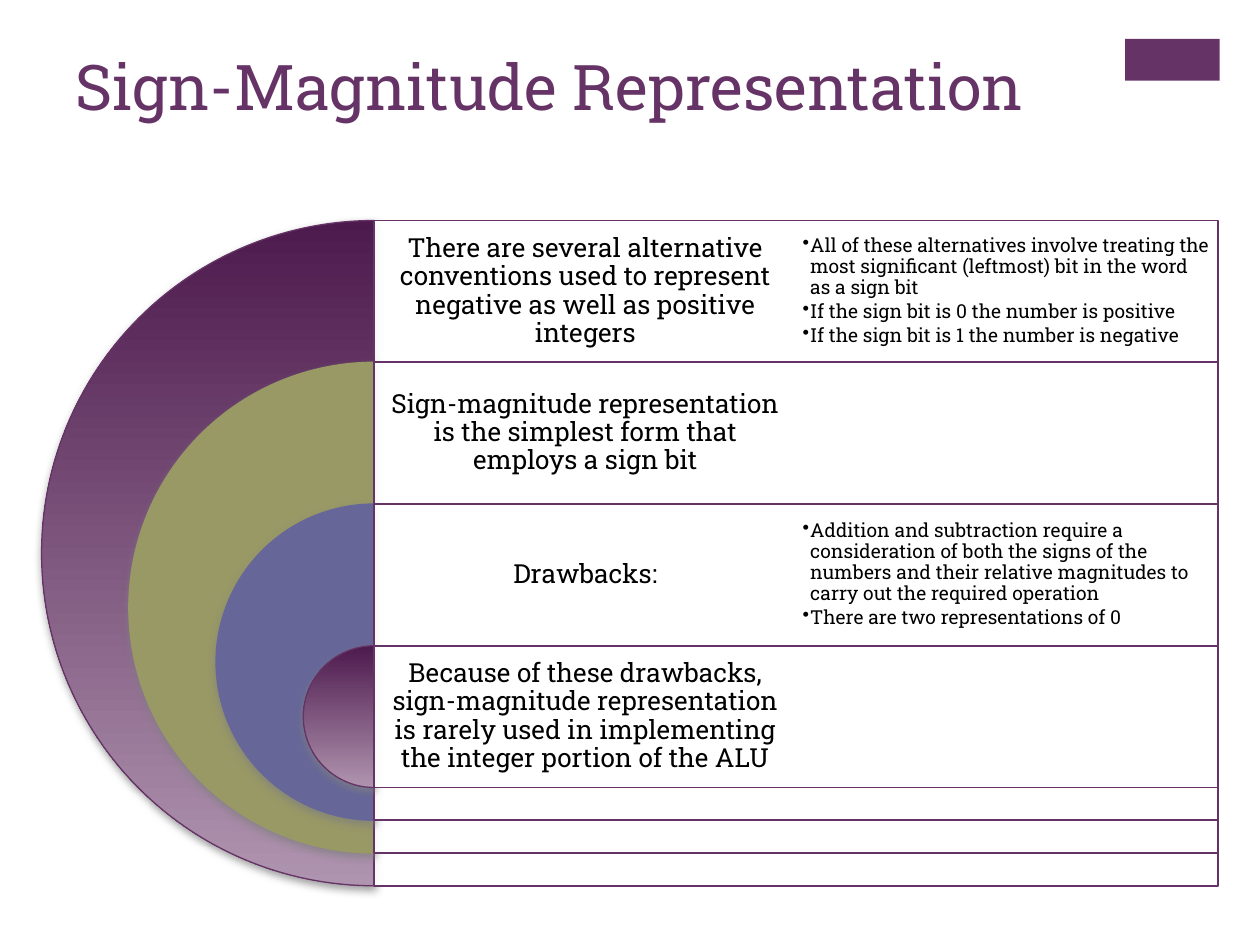
import pptx
import pptx.util
import pptx.dml.color
import pptx.enum.shapes
import pptx.enum.text
import pptx.oxml.ns
import lxml.etree

Inches, Pt = pptx.util.Inches, pptx.util.Pt
SHAPE = pptx.enum.shapes.MSO_SHAPE
ALIGN = pptx.enum.text.PP_ALIGN
ANCHOR = pptx.enum.text.MSO_ANCHOR
qn = pptx.oxml.ns.qn

FONT = "Roboto Slab"
COLORS = {
    name: pptx.dml.color.RGBColor.from_string(value)
    for name, value in {
        "plum": "663366", "dark plum": "4D1A4D", "light plum": "AF94AF",
        "olive": "999966", "slate": "666699", "white": "FFFFFF", "black": "000000",
    }.items()
}

# Fill of the half disc, heading, bullets
ROWS = [
    ("gradient",
     "There are several alternative conventions used to represent negative as well as positive integers",
     ["All of these alternatives involve treating the most significant (leftmost) bit in the word as a sign bit",
      "If the sign bit is 0 the number is positive",
      "If the sign bit is 1 the number is negative"]),
    ("olive", "Sign-magnitude representation is the simplest form that employs a sign bit", []),
    ("slate", "Drawbacks:",
     ["Addition and subtraction require a consideration of both the signs of the numbers and their "
      "relative magnitudes to carry out the required operation",
      "There are two representations of 0"]),
    ("gradient",
     "Because of these drawbacks, sign-magnitude representation is rarely used in implementing "
     "the integer portion of the ALU", []),
]

# The smallest disc is one row high; the others grow evenly up to the outer one.
TOP, OUTER = 1.75, 5.28
ROW_HEIGHT = 9 / 8
SHRINK = (OUTER - ROW_HEIGHT) / (len(ROWS) - 1)
AXIS, COLUMN = 2.97, 3.35


def add_shape(kind, left, top, width, height, color):
    shape = slide.shapes.add_shape(kind, Inches(left), Inches(top), Inches(width), Inches(height))
    shape.shadow.inherit = False
    if color == "gradient":
        shape.fill.gradient()
        shape.fill.gradient_angle = 270
        for stop, position, name in zip(shape.fill.gradient_stops, (0, 1), ("dark plum", "light plum")):
            stop.position = position
            stop.color.rgb = COLORS[name]
    else:
        shape.fill.solid()
        shape.fill.fore_color.rgb = COLORS[color]
    return shape


def add_text(left, top, texts, size, inset, gap, bulleted):
    box = slide.shapes.add_textbox(Inches(left), Inches(top), Inches(COLUMN), Inches(ROW_HEIGHT))
    frame = box.text_frame
    frame.word_wrap = True
    frame.vertical_anchor = ANCHOR.MIDDLE
    frame.margin_left = frame.margin_right = frame.margin_top = frame.margin_bottom = Inches(inset)
    for index, text in enumerate(texts):
        para = frame.add_paragraph() if index else frame.paragraphs[0]
        para.alignment = ALIGN.LEFT if bulleted else ALIGN.CENTER
        para.line_spacing = 0.9
        para.space_after = Pt(gap)
        if bulleted:
            para.level = 1
            properties = para._p.get_or_add_pPr()
            properties.set("marL", str(Inches(0.06)))
            properties.set("indent", str(-Inches(0.06)))
            lxml.etree.SubElement(properties, qn("a:buChar"), char="•")
        span = para.add_run()
        span.text = text
        span.font.name = FONT
        span.font.size = Pt(size)
        span.font.color.rgb = COLORS["black"]


deck = pptx.Presentation()
deck.slide_width, deck.slide_height = Inches(10), Inches(7.5)
slide = deck.slides.add_slide(deck.slide_layouts[5])

corner = add_shape(SHAPE.RECTANGLE, 8.93, 0.31, 0.75, 0.33, "plum")
corner.line.fill.background()

title = slide.shapes.title
title.left, title.top, title.width, title.height = Inches(0.5), Inches(0.33), Inches(8.26), Inches(1.22)
title.text_frame.auto_size = pptx.enum.text.MSO_AUTO_SIZE.NONE
title.text_frame.vertical_anchor = ANCHOR.TOP
heading = title.text_frame.paragraphs[0]
heading.alignment = ALIGN.LEFT
span = heading.add_run()
span.text = "Sign-Magnitude Representation"
span.font.name = FONT
span.font.size = Pt(36)
span.font.color.rgb = COLORS["plum"]

for index, (color, statement, bullets) in enumerate(ROWS):
    top = TOP + index * ROW_HEIGHT
    diameter = OUTER - index * SHRINK

    disc = add_shape(SHAPE.PIE, AXIS - diameter / 2, top, diameter, diameter, color)
    disc.adjustments[0], disc.adjustments[1] = 54, 162  # left half: 90 to 270 degrees
    disc.line.color.rgb = COLORS["plum" if color == "gradient" else color]
    disc.line.width = Pt(0.75)
    effects = disc._element.spPr.find(qn("a:effectLst"))
    shadow = lxml.etree.SubElement(
        effects, qn("a:outerShdw"), blurRad=str(Pt(5)), dist=str(Pt(2)), dir="5400000", rotWithShape="0")
    shade = lxml.etree.SubElement(shadow, qn("a:srgbClr"), val="808080")
    lxml.etree.SubElement(shade, qn("a:alpha"), val="75000")

    panel = add_shape(SHAPE.RECTANGLE, AXIS, top, 2 * COLUMN, diameter, "white")
    panel.line.color.rgb = COLORS["plum"]
    panel.line.width = Pt(1)
    panel_color = panel._element.spPr.find(qn("a:solidFill")).find(qn("a:srgbClr"))
    lxml.etree.SubElement(panel_color, qn("a:alpha"), val="90000")

    add_text(AXIS, top, [statement], 15, 0.06, 5, False)
    if bullets:
        add_text(AXIS + COLUMN, top, bullets, 11, 0.05, 2, True)

deck.save("out.pptx")
